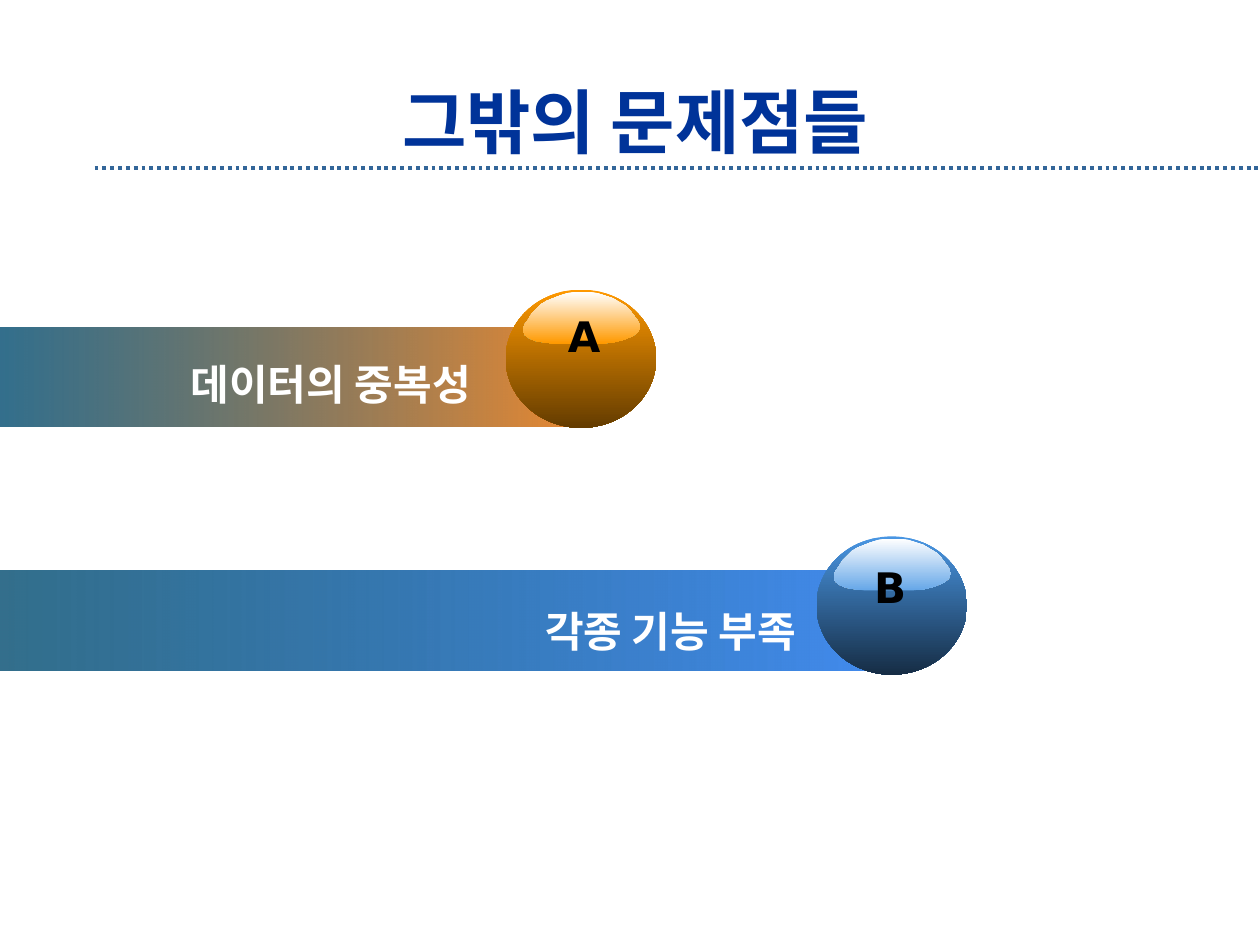
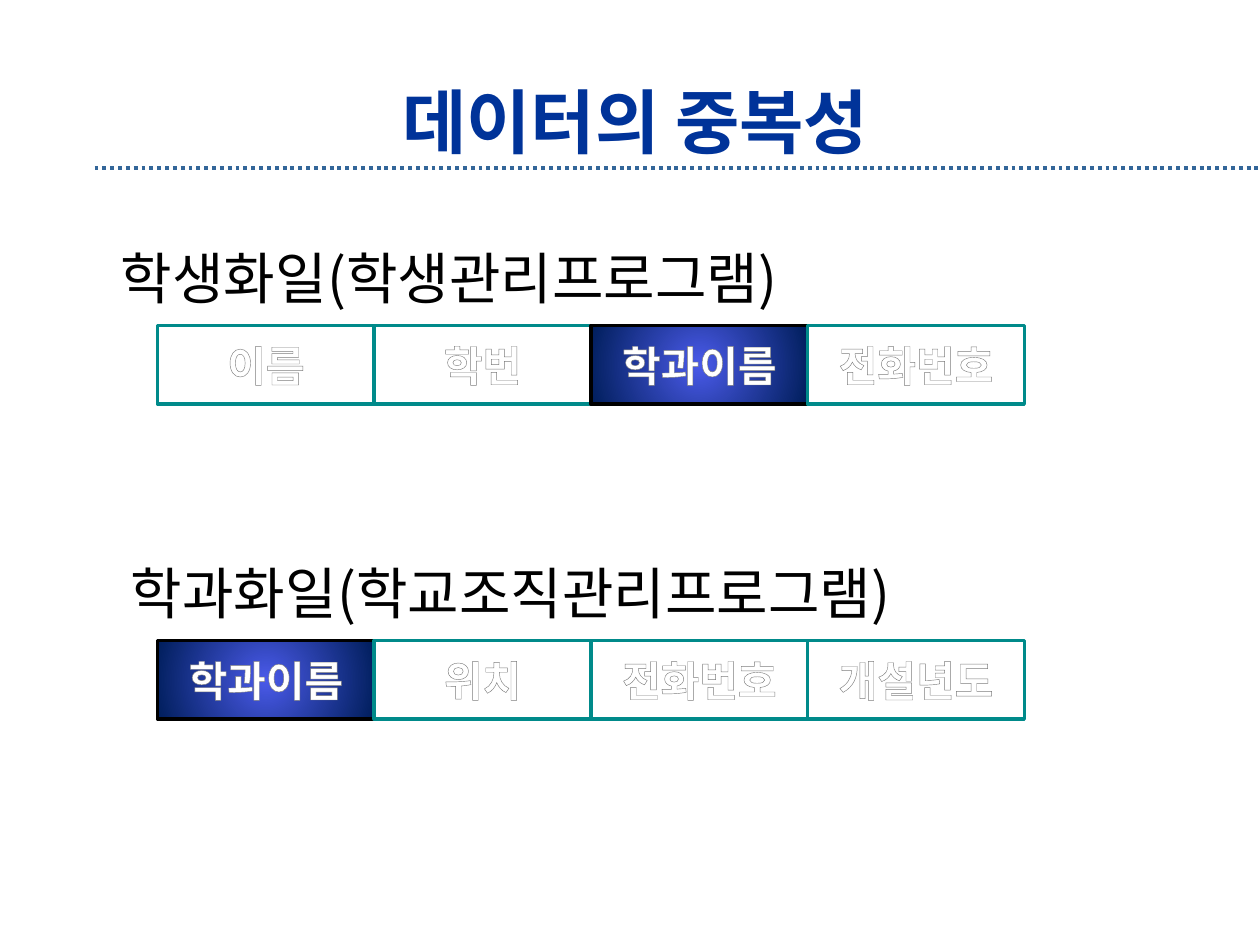
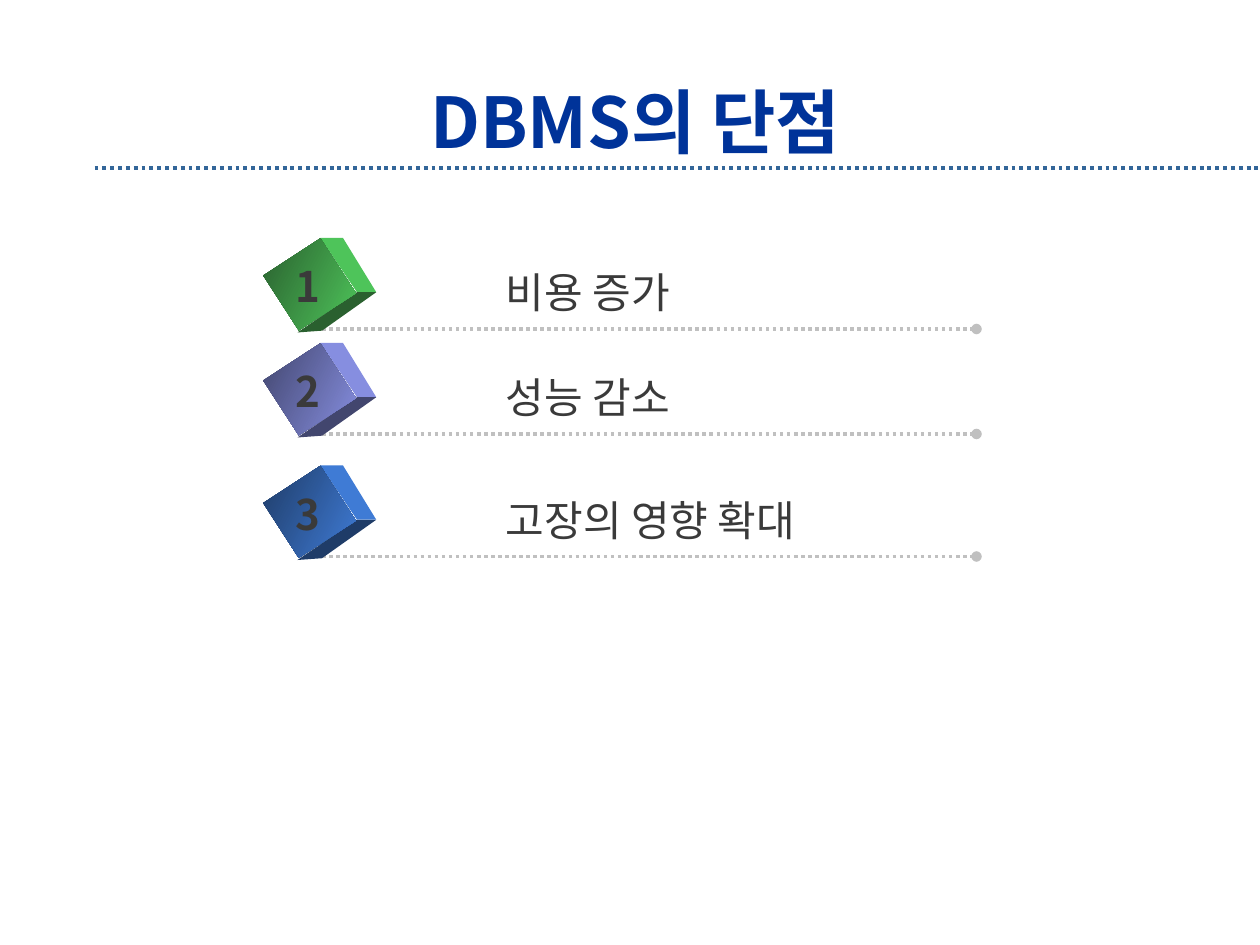
from dataclasses import dataclass

from lxml.etree import SubElement
from pptx import Presentation
from pptx.dml.color import RGBColor
from pptx.enum.dml import MSO_LINE
from pptx.enum.shapes import MSO_CONNECTOR, MSO_SHAPE
from pptx.enum.text import MSO_ANCHOR, MSO_AUTO_SIZE, PP_ALIGN
from pptx.oxml.ns import qn
from pptx.util import Pt

RECT, OVAL = MSO_SHAPE.RECTANGLE, MSO_SHAPE.OVAL
STRAIGHT, DOTS = MSO_CONNECTOR.STRAIGHT, MSO_LINE.ROUND_DOT
LEFT, MID, RIGHT = PP_ALIGN.LEFT, PP_ALIGN.CENTER, PP_ALIGN.RIGHT
TOP, CENTRE = MSO_ANCHOR.TOP, MSO_ANCHOR.MIDDLE
FIXED = MSO_AUTO_SIZE.NONE


@dataclass(frozen=True)
class Theme:
    font: str = "Noto Sans CJK KR"
    badge: str = "DejaVu Sans"
    big: int = 40
    head: int = 32
    body: int = 24
    title: str = "003399"
    rule: str = "336699"
    dots: str = "C0C0C0"
    ink: str = "3A3A3A"
    black: str = "000000"
    white: str = "FFFFFF"
    teal: str = "008A8A"
    stroke: str = "7D7D7D"
    bar: str = "004B70"
    key: tuple = ("4A5AE9", "001E5B")


T = Theme()


def write(shape, text, size=T.body, color=T.black, bold=False, font=T.font,
          align=LEFT, anchor=TOP, wrap=True, stroke=None):
    frame = shape.text_frame
    frame.auto_size, frame.word_wrap = FIXED, wrap
    frame.vertical_anchor = anchor
    para = frame.paragraphs[0]
    para.alignment = align
    run = para.add_run()
    run.text = text
    face = run.font
    face.size, face.bold, face.name = Pt(size), bold, font
    face.color.rgb = RGBColor.from_string(color)
    props = run.font._element
    SubElement(props, qn("a:ea")).set("typeface", font)
    if stroke:
        line = SubElement(props, qn("a:ln"), w=str(Pt(0.83)))
        fill = SubElement(line, qn("a:solidFill"))
        SubElement(fill, qn("a:srgbClr"), val=stroke)
        props.insert(0, line)


def paint(shape, *colors, angle=0, alpha=None, round=False, edge=None):
    """Fill with one colour or a two-colour gradient, clockwise by angle."""
    shape.shadow.inherit = False
    if edge:
        shape.line.color.rgb = RGBColor.from_string(edge)
        shape.line.width = Pt(2)
    else:
        shape.line.fill.background()
    if len(colors) == 1:
        shape.fill.solid()
        shape.fill.fore_color.rgb = RGBColor.from_string(colors[0])
        return
    shape.fill.gradient()
    shape.fill.gradient_angle = -angle % 360
    for stop, color in zip(shape.fill.gradient_stops, colors):
        stop.color.rgb = RGBColor.from_string(color)
    grad = shape.element.spPr.find(qn("a:gradFill"))
    if alpha:
        first = next(grad.iter(qn("a:srgbClr")))
        SubElement(first, qn("a:alpha"), val=str(alpha * 1000))
    if round:
        grad.remove(grad.find(qn("a:lin")))
        ring = SubElement(grad, qn("a:path"), path="circle")
        SubElement(ring, qn("a:fillToRect"), dict.fromkeys("ltrb", "50000"))


deck = Presentation()
deck.slide_width, deck.slide_height = Pt(720), Pt(540)
layout = deck.slide_layouts[5]

# Titles
slides = []
for name in ("그밖의 문제점들", "데이터의 중복성", "DBMS의 단점"):
    slide = deck.slides.add_slide(layout)
    title = slide.shapes.title
    title.left, title.top = Pt(54), Pt(48)
    title.width, title.height = Pt(618), Pt(42)
    write(title, name, size=T.big, color=T.title, bold=True,
          align=MID, anchor=CENTRE)
    slides.append(slide)
issues, files, costs = [slide.shapes for slide in slides]

# Dotted lines: the title rule goes to the layout, the others to the list
rows = (188, 248, 318)
rules = [(54, 720, 96, T.rule, 2.25, False)]
rules += [(180, 558, y, T.dots, 2, True) for y in rows]
for start, end, y, color, width, knob in rules:
    line = costs.add_connector(STRAIGHT, Pt(start), Pt(y), Pt(end), Pt(y))
    line.line.color.rgb = RGBColor.from_string(color)
    line.line.width, line.line.dash_style = Pt(width), DOTS
    props = line.element.spPr
    SubElement(props, qn("a:effectLst"))
    if knob:
        SubElement(props.find(qn("a:ln")), qn("a:tailEnd"), type="oval")
    else:
        layout.shapes.element.append(line.element)

# Slide 1: bars that end in a glossy ball
gloss = [
    (91, 23), (93, 28), (91, 32), (87, 35), (80, 38), (72, 40), (63, 41),
    (33, 41), (24, 41), (16, 40), (10, 39), (5, 37), (1, 34), (0, 30),
    (1, 26), (4, 22), (7, 17), (10, 14), (14, 10), (19, 7), (24, 5),
    (29, 3), (35, 1), (41, 0), (53, 0), (59, 1), (65, 3), (71, 5),
    (76, 8), (81, 11), (85, 15), (88, 19)]
bars = [
    ("A", "데이터의 중복성", 187, 333, (289, 165.5), (317.5, 174.2), 28,
     "E98931", ("FF9900", "643C00"), "FF9900"),
    ("B", "각종 기능 부족", 326, 495.4, (466.6, 306.5), (492.5, 317.5), 214,
     "418AEB", ("4996E3", "162D45"), "66A7E8")]
for mark, label, y, width, spot, tag, left, tint, body, shine in bars:
    bar = issues.add_shape(RECT, 0, Pt(y), Pt(width), Pt(57))
    paint(bar, T.bar, tint, alpha=80)
    x, top = spot
    ball = issues.add_shape(OVAL, Pt(x), Pt(top), Pt(86), Pt(79))
    paint(ball, *body, angle=90)
    pen = issues.build_freeform(*gloss[0], scale=Pt(0.72))
    pen.add_line_segments(gloss[1:])
    paint(pen.convert_to_shape(Pt(x + 10), Pt(top + 1.3)),
          T.white, shine, angle=90)
    box = issues.add_textbox(Pt(tag[0]), Pt(tag[1]), Pt(33), Pt(36))
    write(box, mark, bold=True, font=T.badge, wrap=False)
    box = issues.add_textbox(Pt(left), Pt(top + 36), Pt(248), Pt(36.7))
    write(box, label, color=T.white, bold=True, align=RIGHT)

# Slide 2: two records that share one field
shared = "학과이름"
records = [
    ("학생화일(학생관리프로그램)", 62, 423, 186,
     ("이름", "학번", shared, "전화번호")),
    ("학과화일(학교조직관리프로그램)", 67.7, 488, 366,
     (shared, "위치", "전화번호", "개설년도"))]
cell = 123.84
for head, left, width, y, fields in records:
    for i, field in enumerate(fields):
        box = files.add_shape(RECT, Pt(90 + i * cell), Pt(y),
                              Pt(cell), Pt(45))
        if field == shared:
            paint(box, *T.key, round=True, edge=T.black)
        else:
            paint(box, T.white, edge=T.teal)
        write(box, field, color=T.white, bold=True, align=MID,
              anchor=CENTRE, stroke=T.stroke)
    box = files.add_textbox(Pt(left), Pt(y - 50.6), Pt(width), Pt(46))
    write(box, head, size=T.head, wrap=False)

# Slide 3: numbered cubes, placed from the dotted line of each row
side = [(183, -52.3), (196.5, -51.5), (215, -21), (203.5, -20.6)]
base = [(203.5, -20.6), (215, -21), (184, 0.6), (169.8, 1.7)]
points = [
    ("비용 증가", 119.5, "4EC45A", "2A602F"),
    ("성능 감소", 119.5, "868EE0", "42466E"),
    ("고장의 영향 확대", 200, "3F7BD5", "1F3C68")]
for num, (y, point) in enumerate(zip(rows, points), 1):
    label, width, light, dark = point
    for face, color in ((side, light), (base, dark)):
        pen = costs.build_freeform(*face[0], scale=Pt(1))
        pen.add_line_segments(face[1:])
        paint(pen.convert_to_shape(0, Pt(y)), color)
    front = costs.add_shape(RECT, Pt(158.2), Pt(y - 45), Pt(37.4), Pt(39))
    front.rotation = 57
    paint(front, dark, light, angle=-30)
    box = costs.add_textbox(Pt(282), Pt(y - 39), Pt(width), Pt(36.7))
    write(box, label, color=T.ink, wrap=False)
    box = costs.add_textbox(Pt(162), Pt(y - 42.5), Pt(29.5), Pt(36.7))
    write(box, str(num), color=T.ink, bold=True, wrap=False)

deck.save("out.pptx")
